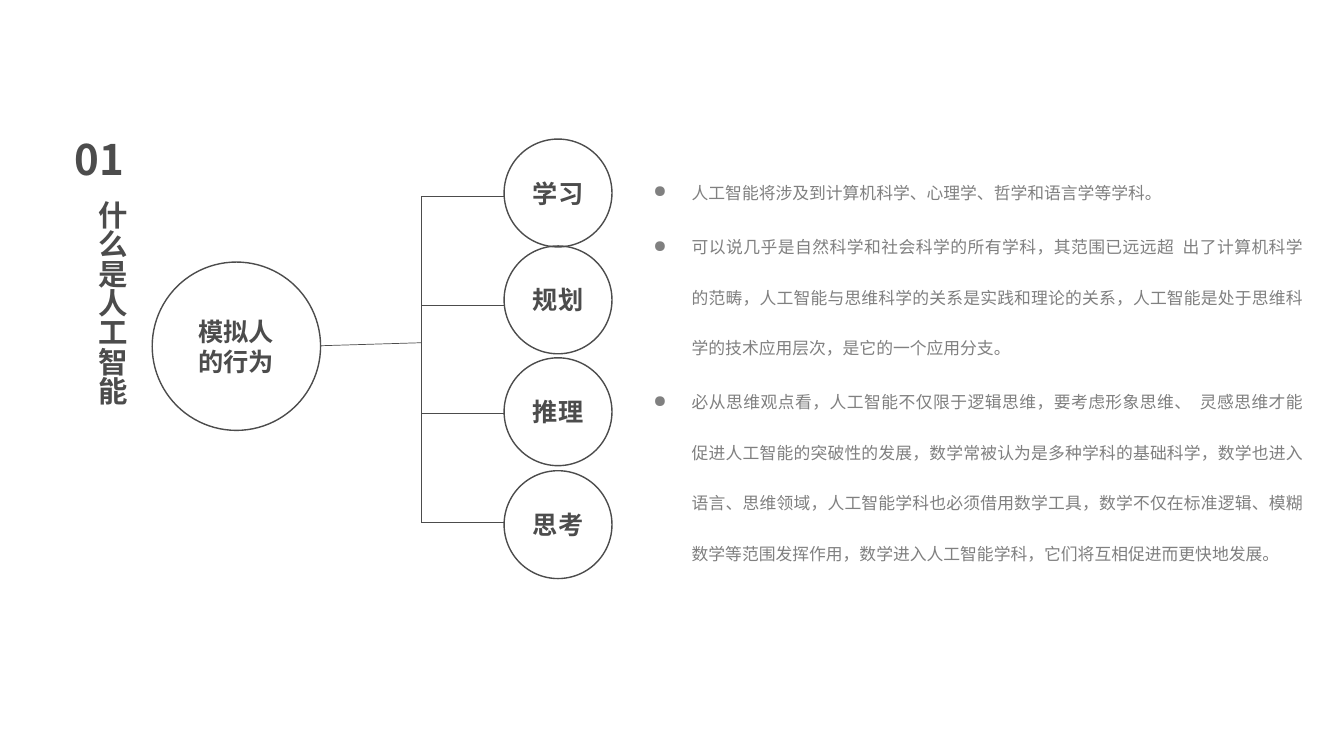
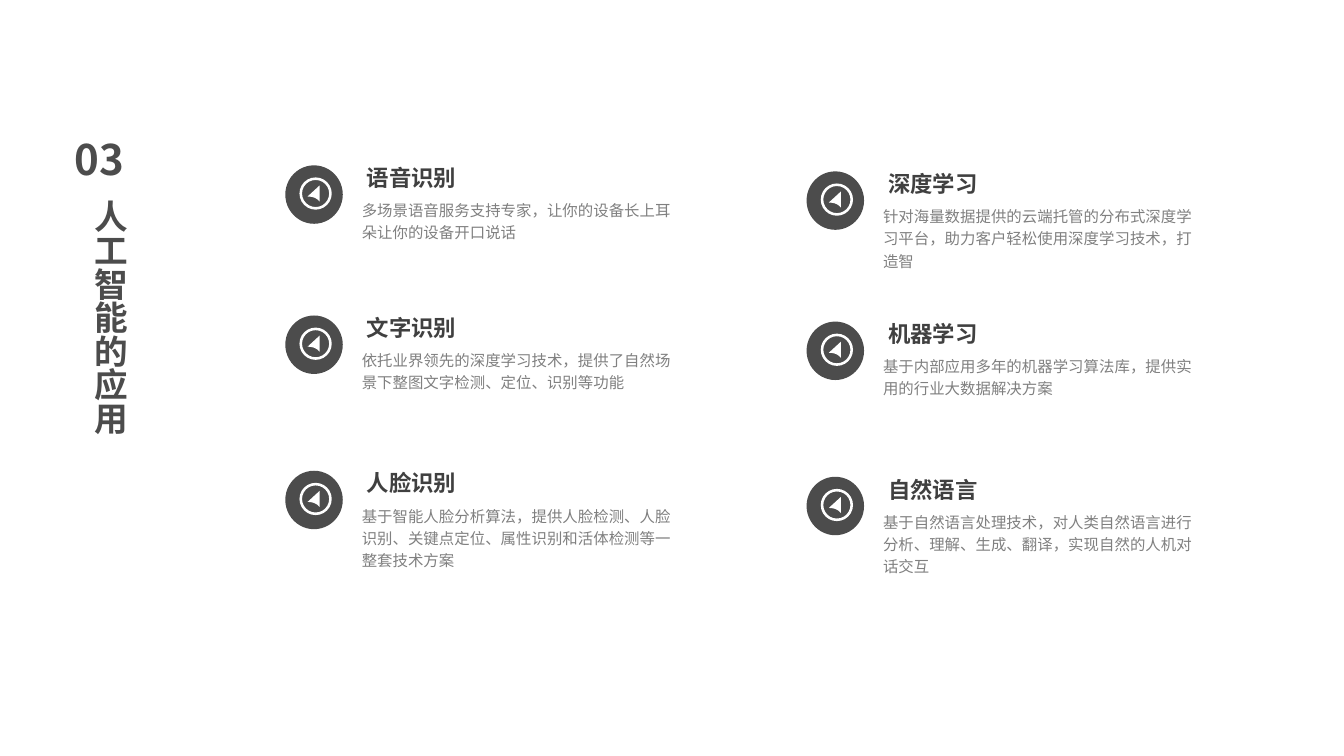
from lxml.etree import SubElement
from pptx import Presentation
from pptx.dml.color import RGBColor
from pptx.enum.shapes import MSO_CONNECTOR, MSO_SHAPE
from pptx.enum.text import MSO_ANCHOR, MSO_AUTO_SIZE, PP_ALIGN
from pptx.oxml.ns import qn
from pptx.util import Inches, Pt

FONT = "Noto Sans CJK SC"
DARK = RGBColor(0x4C, 0x4C, 0x4C)
HEADING = RGBColor(0x40, 0x40, 0x40)
GRAY = RGBColor(0x80, 0x80, 0x80)
WHITE = RGBColor(0xFF, 0xFF, 0xFF)

CONCEPT = "模拟人的行为"
ABILITIES = [("学习", 1.38), ("规划", 2.44), ("推理", 3.55), ("思考", 4.67)]
POINTS = [
    "人工智能将涉及到计算机科学、心理学、哲学和语言学等学科。",
    "可以说几乎是自然科学和社会科学的所有学科，其范围已远远超  出了计算机科学的范畴，"
    "人工智能与思维科学的关系是实践和理论的关系，人工智能是处于思维科学的技术应用层次，"
    "是它的一个应用分支。",
    "必从思维观点看，人工智能不仅限于逻辑思维，要考虑形象思维、  灵感思维才能促进人工智能的"
    "突破性的发展，数学常被认为是多种学科的基础科学，数学也进入语言、思维领域，"
    "人工智能学科也必须借用数学工具，数学不仅在标准逻辑、模糊数学等范围发挥作用，"
    "数学进入人工智能学科，它们将互相促进而更快地发展。",
]

# Two columns of three applications, each a heading and a description
APPLICATIONS = [
    [
        ("语音识别", "多场景语音服务支持专家，让你的设备长上耳朵让你的设备开口说话"),
        ("文字识别", "依托业界领先的深度学习技术，提供了自然场景下整图文字检测、定位、识别等功能"),
        ("人脸识别", "基于智能人脸分析算法，提供人脸检测、人脸识别、关键点定位、"
                 "属性识别和活体检测等一整套技术方案"),
    ],
    [
        ("深度学习", "针对海量数据提供的云端托管的分布式深度学习平台，"
                 "助力客户轻松使用深度学习技术，打造智"),
        ("机器学习", "基于内部应用多年的机器学习算法库，提供实用的行业大数据解决方案"),
        ("自然语言", "基于自然语言处理技术，对人类自然语言进行分析、理解、生成、翻译，"
                 "实现自然的人机对话交互"),
    ],
]
COLUMN_ORIGINS = [(2.83, 0), (8, 0.06)]
ROW_TOPS = [1.64, 3.13, 4.67]


def format_text(paragraph, size, color, bold=False):
    for run in paragraph.runs:
        run.font.size, run.font.bold = Pt(size), bold
        run.font.name = FONT
        run.font.color.rgb = color
        SubElement(run.font._element, qn("a:ea"), typeface=FONT)


def add_text(slide, box, text, size, color, bold=False, wrap=True, grow=True):
    frame = slide.shapes.add_textbox(*map(Inches, box)).text_frame
    frame.word_wrap = wrap
    frame.auto_size = MSO_AUTO_SIZE.SHAPE_TO_FIT_TEXT if grow else MSO_AUTO_SIZE.NONE
    frame.text = text
    for paragraph in frame.paragraphs:
        format_text(paragraph, size, color, bold)
    return frame


def add_section_title(slide, number, title, size, box):
    """Number above a title that runs downwards."""
    frame = add_text(slide, box, title, size, DARK, bold=True, wrap=False)
    frame._txBody.bodyPr.set("vert", "eaVert")
    add_text(slide, (0.64, 1.28, 0.72, 0.61), number, 30, DARK, bold=True, wrap=False)


def add_filled(slide, kind, box, color):
    shape = slide.shapes.add_shape(kind, *map(Inches, box))
    shape.shadow.inherit = False
    shape.fill.solid()
    shape.fill.fore_color.rgb = color
    shape.line.fill.background()
    return shape


def add_circle(slide, left, top, size, label):
    circle = slide.shapes.add_shape(MSO_SHAPE.OVAL, *map(Inches, (left, top, size, size)))
    circle.shadow.inherit = False
    circle.fill.background()
    circle.line.color.rgb = DARK
    circle.line.width = Pt(1)
    frame = circle.text_frame
    frame.word_wrap = True
    frame.vertical_anchor = MSO_ANCHOR.MIDDLE
    frame.text = label
    frame.paragraphs[0].alignment = PP_ALIGN.CENTER
    format_text(frame.paragraphs[0], 18, DARK, bold=True)


def add_line(slide, *ends):
    line = slide.shapes.add_connector(MSO_CONNECTOR.STRAIGHT, *map(Inches, ends))
    line.line.color.rgb = DARK
    line.line.width = Pt(0.5)
    SubElement(line._element.spPr, qn("a:effectLst"))


def add_pointer_icon(slide, left, top):
    """Dark disc with a white ring and a pointer whose lower edge is curved."""
    add_filled(slide, MSO_SHAPE.OVAL, (left, top, 0.57, 0.58), DARK)
    ring = add_filled(slide, MSO_SHAPE.DONUT, (left + 0.14, top + 0.12, 0.32, 0.32), WHITE)
    ring.adjustments[0] = 0.08
    x, y = left + 0.22, top + 0.2
    tip, bend, foot = (x, y + 0.11), (x + 0.08, y + 0.11), (x + 0.12, y + 0.16)
    steps = [n / 8 for n in range(9)]
    edge = [tuple((1 - t) ** 2 * a + 2 * t * (1 - t) * b + t * t * c
                  for a, b, c in zip(tip, bend, foot)) for t in steps]
    builder = slide.shapes.build_freeform(Inches(x + 0.12), Inches(y))
    builder.add_line_segments([(Inches(px), Inches(py)) for px, py in edge], close=True)
    pointer = builder.convert_to_shape()
    pointer.shadow.inherit = False
    pointer.fill.solid()
    pointer.fill.fore_color.rgb = WHITE
    pointer.line.fill.background()


def add_bullets(slide, box, points):
    frame = add_text(slide, box, "\n".join(points), 12, GRAY, grow=False)
    frame.margin_left = frame.margin_right = Inches(0.07)
    frame.margin_top = frame.margin_bottom = Inches(0.04)
    for paragraph in frame.paragraphs:
        paragraph.alignment = PP_ALIGN.JUSTIFY
        paragraph.line_spacing = 2.5
        paragraph.space_before = Pt(2.9)
        properties = paragraph._p.get_or_add_pPr()
        properties.set("marL", str(Inches(0.38)))
        properties.set("indent", str(-Inches(0.38)))
        SubElement(properties, qn("a:buChar"), char="●")


def build_definition(slide):
    trunk, branch_end, first, last = 4.18, 5, 1.95, 5.18
    add_circle(slide, 1.51, 2.6, 1.67, CONCEPT)
    add_line(slide, 3.18, 3.43, trunk, 3.4)
    add_line(slide, trunk, first, trunk, last)
    step = (last - first) / (len(ABILITIES) - 1)
    for index, (ability, top) in enumerate(ABILITIES):
        y = first + index * step
        add_line(slide, trunk, y, branch_end, y)
        add_circle(slide, branch_end, top, 1.07, ability)
    add_bullets(slide, (6.41, 1.47, 6.59, 2.99), POINTS)
    add_section_title(slide, "01", "什么是人工智能", 21, (0.78, 1.89, 0.56, 2.16))


def build_applications(slide):
    add_section_title(slide, "03", "人工智能的应用", 24, (0.73, 1.89, 0.61, 2.46))
    for (left, drop), column in zip(COLUMN_ORIGINS, APPLICATIONS):
        for row_top, (heading, description) in zip(ROW_TOPS, column):
            top = row_top + drop
            add_pointer_icon(slide, left, top)
            body = add_text(slide, (left + 0.66, top + 0.27, 3.27, 0.55), description, 11, GRAY)
            body.paragraphs[0].line_spacing = 1.2
            add_text(slide, (left + 0.71, top - 0.06, 1.78, 0.37), heading, 16, HEADING, bold=True)


def main():
    deck = Presentation()
    deck.slide_width, deck.slide_height = Inches(13.33), Inches(7.5)
    for build in (build_definition, build_applications):
        build(deck.slides.add_slide(deck.slide_layouts[6]))
    deck.save("out.pptx")


if __name__ == "__main__":
    main()
